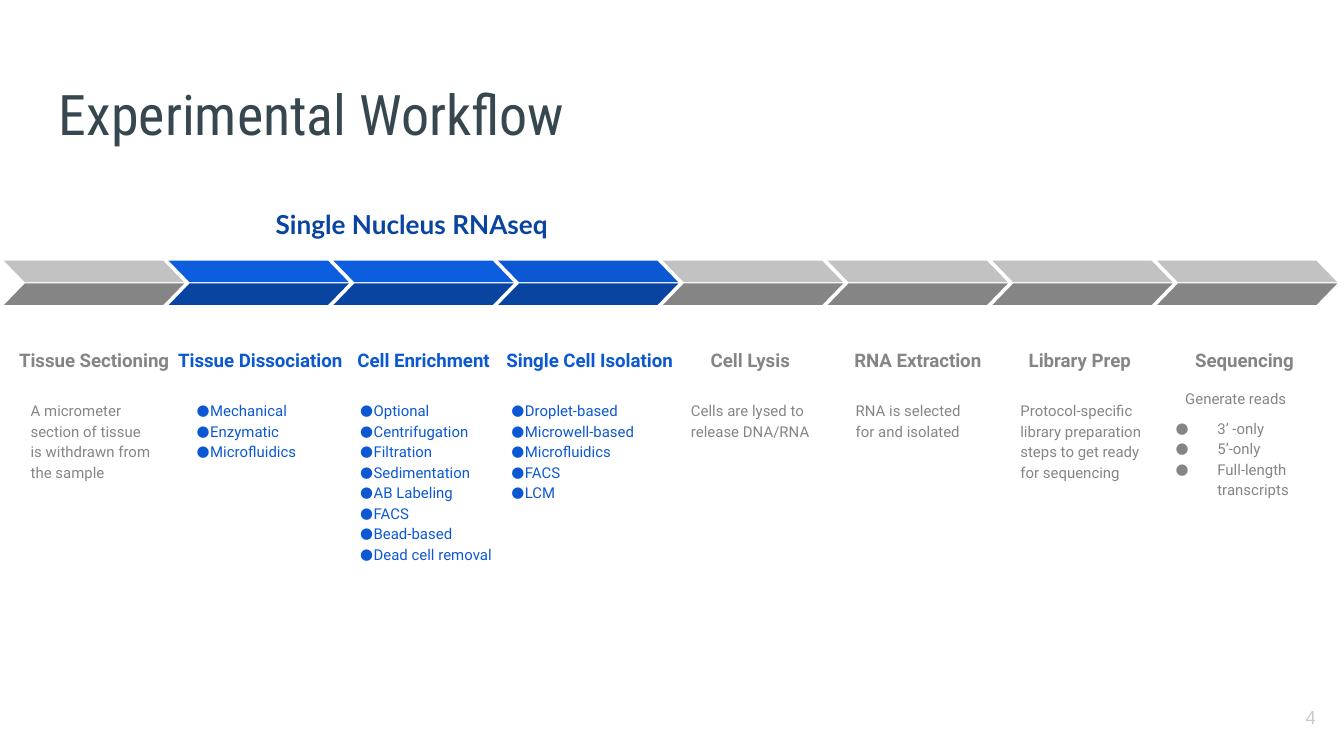
from dataclasses import dataclass

from lxml.etree import SubElement
from pptx import Presentation
from pptx.dml.color import RGBColor
from pptx.enum.shapes import MSO_SHAPE as Shape
from pptx.enum.text import MSO_ANCHOR as Anchor, PP_ALIGN as Align
from pptx.oxml.ns import qn
from pptx.util import Inches, Pt


@dataclass(frozen=True)
class Theme:
    ink: str = "37474F"
    blue: str = "0C58D3"
    bright_blue: str = "0D5DDF"
    dark_blue: str = "0944A1"
    gray: str = "858585"
    light_gray: str = "C2C2C2"
    number: str = "CACACA"
    font: str = "Roboto"
    title_size: int = 30
    group_size: int = 14
    label_size: int = 10
    body_size: int = 8


THEME = Theme()

# Content: label, its offset in the column and width,
# body offset, width and height, body
STEPS = [
    ("Tissue Sectioning", (0, 1.34), (0.1, 1.1, 0.81),
     "A micrometer section of tissue is withdrawn from the sample"),
    ("Tissue Dissociation", (-0.05, 1.46), (0.11, 1.1, 0.81),
     ["Mechanical", "Enzymatic", "Microfluidics"]),
    ("Cell Enrichment", (0, 1.34), (0.1, 1.24, 1.54),
     ["Optional", "Centrifugation", "Filtration", "Sedimentation",
      "AB Labeling", "FACS", "Bead-based", "Dead cell removal"]),
    ("Single Cell Isolation", (-0.05, 1.46), (0, 1.34, 0.94),
     ["Droplet-based", "Microwell-based", "Microfluidics", "FACS", "LCM"]),
    ("Cell Lysis", (0.1, 1.1), (0.11, 1.1, 0.81),
     "Cells are lysed to release DNA/RNA"),
    ("RNA Extraction", (0, 1.34), (0.11, 1.1, 0.81),
     "RNA is selected for and isolated"),
    ("Library Prep", (0.1, 1.1), (0.11, 1.1, 0.81),
     "Protocol-specific library preparation steps to get ready for sequencing"),
    ("Sequencing", (0.1, 1.1), (0.11, 1.25, 0.81), "Generate reads"),
]
READ_TYPES = ["3’ -only", "5’-only", "Full-length \vtranscripts"]
HIGHLIGHTED = range(1, 4)

# Grid, in inches
WIDTH = 10
HEIGHT = WIDTH * 9 / 16
FIRST, LAST = 0.03, 8.61
PITCH = (LAST - FIRST) / (len(STEPS) - 1)
ARROW_WIDTH, ARROW_HALF = 1.34, 0.16
ARROW_TOP, ARROW_MIDDLE = 1.94, 2.11
LABEL_TOP, LABEL_HEIGHT = 2.37, 0.49
BODY_TOP, READS_TOP, READ_TYPES_TOP = 2.87, 2.8, 3


def add_bullet(para, color, size, margin, indent):
    props = para._p.get_or_add_pPr()
    props.set("marL", str(Inches(margin)))
    props.set("indent", str(Inches(indent)))
    bullet_color = SubElement(props, qn("a:buClr"))
    SubElement(bullet_color, qn("a:srgbClr"), val=color)
    SubElement(props, qn("a:buSzPts"), val=str(size * 100))
    SubElement(props, qn("a:buFont"), typeface=THEME.font)
    SubElement(props, qn("a:buChar"), char="●")


def add_text(page, place, lines, size, color, font=THEME.font, bold=False,
             align=Align.LEFT, anchor=Anchor.TOP, spacing=None, bullet=None):
    box = page.shapes.add_textbox(*map(Inches, place))
    frame = box.text_frame
    frame.word_wrap = True
    frame.vertical_anchor = anchor
    frame.margin_left = frame.margin_right = Inches(0.1)
    frame.margin_top = frame.margin_bottom = Inches(0.1)
    frame.text = "\n".join([lines] if isinstance(lines, str) else lines)
    for para in frame.paragraphs:
        para.alignment = align
        if spacing:
            para.line_spacing = spacing
        if bullet:
            add_bullet(para, color, size, *bullet)
        for span in para.runs:
            span.font.name = font
            span.font.size = Pt(size)
            span.font.bold = bold
            span.font.color.rgb = RGBColor.from_string(color)


def add_arrow_half(page, left, top, color, flipped):
    half = page.shapes.add_shape(Shape.PARALLELOGRAM, Inches(left), Inches(top),
                                 Inches(ARROW_WIDTH), Inches(ARROW_HALF))
    half.adjustments[0] = 0.97
    half.shadow.inherit = False
    half.fill.solid()
    half.fill.fore_color.rgb = RGBColor.from_string(color)
    half.line.fill.background()
    if flipped:
        half._element.spPr.xfrm.set("flipH", "1")


def add_step(page, index, label, label_frame, body_frame, body):
    left = FIRST + index * PITCH
    active = index in HIGHLIGHTED
    color = THEME.blue if active else THEME.gray
    upper = THEME.light_gray
    if active:
        upper = THEME.blue if index == HIGHLIGHTED[-1] else THEME.bright_blue

    # Arrow
    add_arrow_half(page, left, ARROW_TOP, upper, True)
    add_arrow_half(page, left, ARROW_MIDDLE,
                   THEME.dark_blue if active else THEME.gray, False)

    # Label
    offset, width = label_frame
    add_text(page, (left + offset, LABEL_TOP, width, LABEL_HEIGHT), label,
             THEME.label_size, color, bold=True, align=Align.CENTER,
             anchor=Anchor.BOTTOM, spacing=1.15)

    # Description
    offset, width, height = body_frame
    top = READS_TOP if index == len(STEPS) - 1 else BODY_TOP
    add_text(page, (left + offset, top, width, height), body, THEME.body_size,
             color, spacing=1.15,
             bullet=(0.1, -0.11) if isinstance(body, list) else None)


def main():
    deck = Presentation()
    deck.slide_width, deck.slide_height = Inches(WIDTH), Inches(HEIGHT)
    page = deck.slides.add_slide(deck.slide_layouts[6])

    # Headings
    add_text(page, (0.34, 0.49, 9.32, 0.63), "Experimental Workflow",
             THEME.title_size, THEME.ink, font="Roboto Condensed")
    add_text(page, (1.2, 1.4, 3.73, 0.54), "Single Nucleus RNAseq",
             THEME.group_size, THEME.dark_blue, font="Lato", bold=True,
             align=Align.CENTER, anchor=Anchor.MIDDLE)

    # Workflow
    for index, step in enumerate(STEPS):
        add_step(page, index, *step)
    add_text(page, (8.46, READ_TYPES_TOP, 1.5, 0.81), READ_TYPES, THEME.body_size,
             THEME.gray, spacing=1.15, bullet=(0.5, -0.31))

    # Page number
    add_text(page, (9.29, 5.12, 0.6, 0.43), "4", THEME.label_size, THEME.number,
             font="Arial", align=Align.RIGHT, anchor=Anchor.MIDDLE)

    deck.save("out.pptx")


if __name__ == "__main__":
    main()
